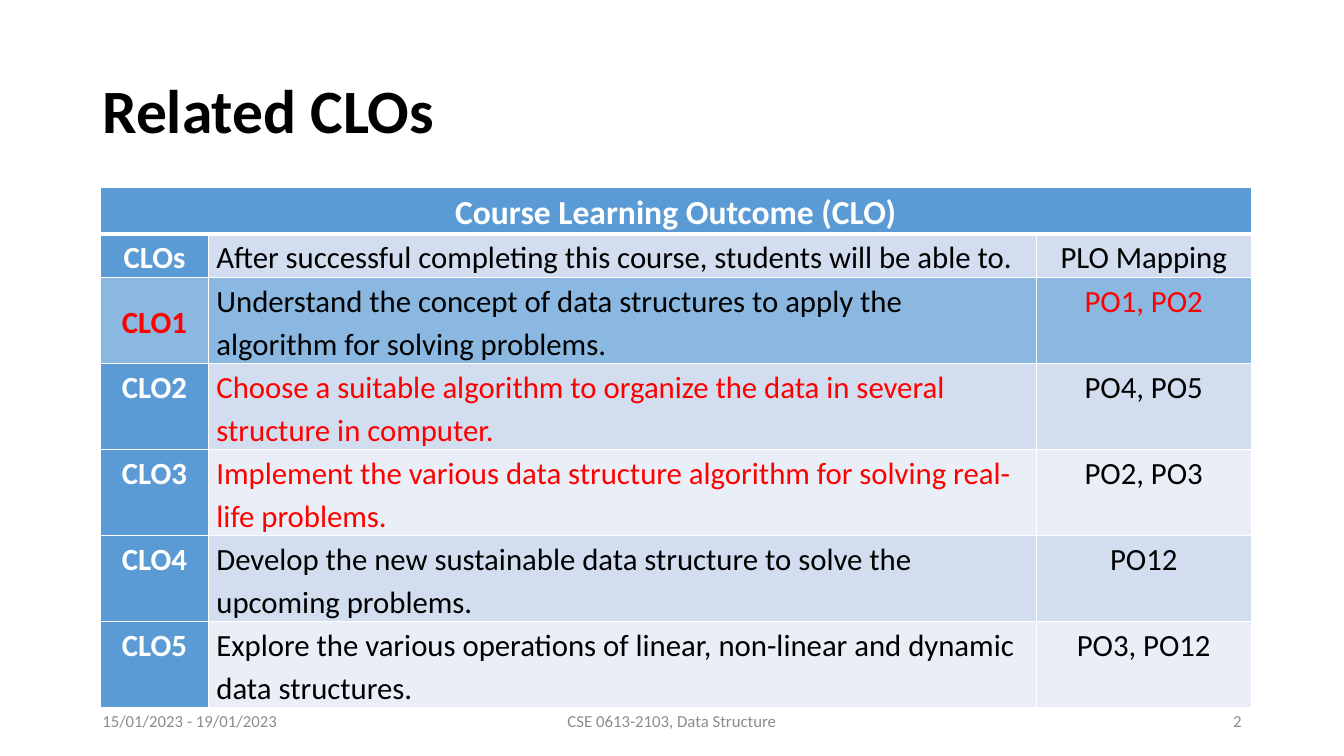
from dataclasses import dataclass

from lxml.etree import SubElement
from pptx import Presentation
from pptx.dml.color import RGBColor
from pptx.enum.text import MSO_ANCHOR as Anchor, PP_ALIGN as Align
from pptx.oxml.ns import qn
from pptx.slide import Slide
from pptx.table import _Cell as Cell
from pptx.text.text import TextFrame
from pptx.util import Pt

FONT = "Calibri"
BLACK, WHITE, RED, GRAY = "000000", "FFFFFF", "FF0000", "8C8C8C"
BLUE, DARK_BAND, LIGHT_BAND = "5B9BD5", "D2DEEF", "EAEFF7"
COLUMN_WIDTHS = (77.75, 591, 153.5)
HEADER_HEIGHT, INTRO_HEIGHT, OUTCOME_HEIGHT = 33.5, 30, 61.5


@dataclass
class Outcome:
    code: str
    statement: str
    mapping: str
    band: str
    colors: tuple[str, str, str] = (WHITE, BLACK, BLACK)
    code_fill: str = BLUE
    opacity: int = 100
    height: float = OUTCOME_HEIGHT
    anchors: tuple[Anchor, Anchor, Anchor] = (Anchor.TOP,) * 3


@dataclass
class Label:
    text: str
    left: float
    top: float
    width: float
    height: float
    size: float = 12
    color: str = GRAY
    align: Align = Align.LEFT
    bold: bool = False
    spacing: float = 1.0


OUTCOMES = [
    Outcome("CLOs", "After successful completing this course, students will be able to.",
            "PLO Mapping", DARK_BAND, height=INTRO_HEIGHT,
            anchors=(Anchor.MIDDLE, Anchor.MIDDLE, Anchor.TOP)),
    Outcome("CLO1", "Understand the concept of data structures to apply the "
            "algorithm for solving problems.", "PO1, PO2", BLUE,
            colors=(RED, BLACK, RED), opacity=71,
            anchors=(Anchor.MIDDLE, Anchor.TOP, Anchor.TOP)),
    Outcome("CLO2", "Choose a suitable algorithm to organize the data in several "
            "structure in computer.", "PO4, PO5", DARK_BAND, colors=(WHITE, RED, BLACK)),
    Outcome("CLO3", "Implement the various data structure algorithm for solving "
            "real-life problems.", "PO2, PO3", LIGHT_BAND, colors=(WHITE, RED, BLACK)),
    Outcome("CLO4", "Develop the new sustainable data structure to solve the "
            "upcoming problems.", "PO12", DARK_BAND),
    Outcome("CLO5", "Explore the various operations of linear, non-linear and dynamic "
            "data structures.", "PO3, PO12", LIGHT_BAND),
]

LABELS = [
    Label("Related CLOs", 66, 28.8, 828, 104.4, size=44, color=BLACK, bold=True, spacing=0.9),
    Label("15/01/2023 - 19/01/2023", 66, 500.5, 216, 28.8),
    Label("CSE 0613-2103, Data Structure", 318, 500.5, 324, 28.8, align=Align.CENTER),
    Label("2", 678, 500.5, 216, 28.8, align=Align.RIGHT),
]


def rgb(color: str) -> RGBColor:
    return RGBColor.from_string(color)


def write_text(frame: TextFrame, text: str, *, size: float, color: str, bold: bool = False,
               align: Align = Align.LEFT, spacing: float = 1.0) -> None:
    paragraph = frame.paragraphs[0]
    paragraph.alignment = align
    paragraph.line_spacing = spacing
    run = paragraph.add_run()
    run.text = text
    run.font.name = FONT
    run.font.size = Pt(size)
    run.font.bold = bold
    run.font.color.rgb = rgb(color)


def add_label(slide: Slide, label: Label) -> None:
    box = slide.shapes.add_textbox(Pt(label.left), Pt(label.top), Pt(label.width), Pt(label.height))
    frame = box.text_frame
    frame.word_wrap = True
    frame.vertical_anchor = Anchor.MIDDLE
    write_text(frame, label.text, size=label.size, color=label.color, bold=label.bold,
               align=label.align, spacing=label.spacing)


def style_cell(cell: Cell, fill: str, *, opacity: int = 100, anchor: Anchor = Anchor.TOP,
               top: float = 1, bottom: float = 1) -> None:
    cell.margin_left = cell.margin_right = Pt(5.4)
    cell.margin_top = cell.margin_bottom = Pt(0)
    cell.vertical_anchor = anchor
    properties = cell._tc.get_or_add_tcPr()
    # Borders come before the fill in the cell properties
    for side, width in (("L", 1), ("R", 1), ("T", top), ("B", bottom)):
        border = SubElement(properties, qn(f"a:ln{side}"), w=str(Pt(width)))
        SubElement(SubElement(border, qn("a:solidFill")), qn("a:srgbClr"), val=WHITE)
    cell.fill.solid()
    cell.fill.fore_color.rgb = rgb(fill)
    if opacity < 100:
        fill_color = properties.find(qn("a:solidFill")).find(qn("a:srgbClr"))
        SubElement(fill_color, qn("a:alpha"), val=str(opacity * 1000))


def add_outcome_table(slide: Slide) -> None:
    heights = [HEADER_HEIGHT] + [outcome.height for outcome in OUTCOMES]
    table = slide.shapes.add_table(len(heights), len(COLUMN_WIDTHS), Pt(71.5), Pt(133.5),
                                   Pt(sum(COLUMN_WIDTHS)), Pt(sum(heights))).table
    table.horz_banding = False
    for column, width in zip(table.columns, COLUMN_WIDTHS):
        column.width = Pt(width)
    for row, height in zip(table.rows, heights):
        row.height = Pt(height)

    # Heading across all columns
    for cell in table.rows[0].cells:
        style_cell(cell, BLUE, bottom=3)
    heading = table.cell(0, 0)
    heading.merge(table.cell(0, len(COLUMN_WIDTHS) - 1))
    write_text(heading.text_frame, "Course Learning Outcome (CLO)", size=24, color=WHITE,
               bold=True, align=Align.CENTER, spacing=1.15)

    # One row for each outcome
    for row, outcome in enumerate(OUTCOMES, start=1):
        texts = (outcome.code, outcome.statement, outcome.mapping)
        fills = (outcome.code_fill, outcome.band, outcome.band)
        parts = zip(texts, fills, outcome.colors, outcome.anchors)
        for column, (text, fill, color, anchor) in enumerate(parts):
            cell = table.cell(row, column)
            style_cell(cell, fill, opacity=outcome.opacity, anchor=anchor,
                       top=3 if row == 1 else 1)
            write_text(cell.text_frame, text, size=22, color=color, bold=column == 0,
                       align=Align.LEFT if column == 1 else Align.CENTER, spacing=1.15)


def main() -> None:
    presentation = Presentation()
    presentation.slide_width, presentation.slide_height = Pt(960), Pt(540)
    slide = presentation.slides.add_slide(presentation.slide_layouts[6])
    add_outcome_table(slide)
    # Title and footer
    for label in LABELS:
        add_label(slide, label)
    presentation.save("out.pptx")


if __name__ == "__main__":
    main()
